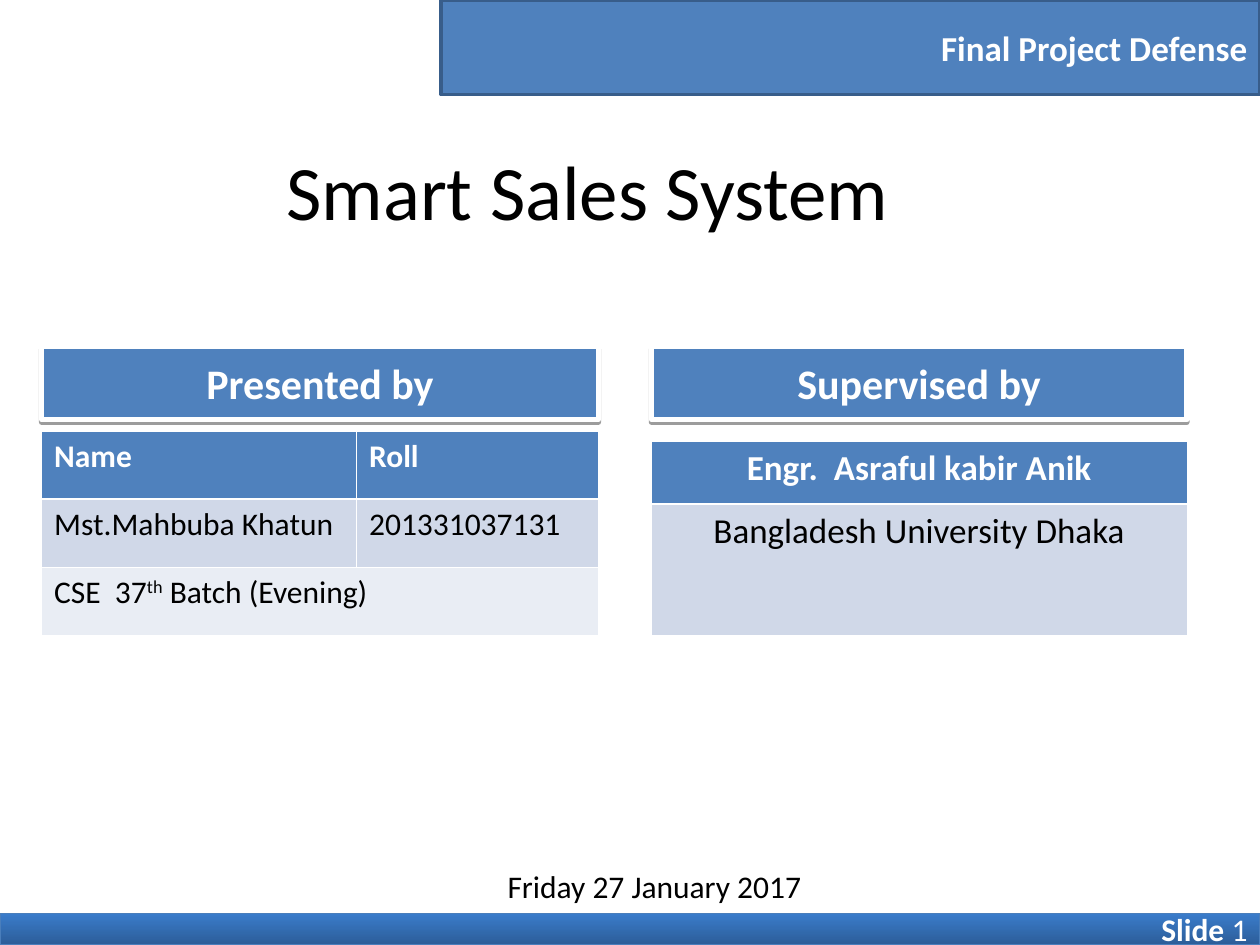
from dataclasses import dataclass

from lxml.etree import SubElement
from pptx import Presentation
from pptx.dml.color import RGBColor
from pptx.enum.shapes import MSO_SHAPE as Shape
from pptx.enum.text import MSO_ANCHOR as Anchor, MSO_AUTO_SIZE as AutoSize, PP_ALIGN as Align
from pptx.oxml.ns import qn
from pptx.util import Inches, Pt


@dataclass(frozen=True)
class Theme:
    font: str = "Calibri"
    white: str = "FFFFFF"
    black: str = "000000"
    blue: str = "4F81BD"
    banner_edge: str = "385D8A"
    footer_edge: str = "4A7EBB"
    footer_dark: str = "2C5D98"
    footer_light: str = "3A7CCB"
    band_dark: str = "D0D8E8"
    band_light: str = "E9EDF4"
    title: int = 44
    heading: int = 24
    large: int = 20
    body: int = 18


THEME = Theme()


def rgb(value):
    return RGBColor.from_string(value)


def write(frame, runs, size, color, align=Align.LEFT, bold=False):
    paragraph = frame.paragraphs[0]
    paragraph.alignment = align
    for words, changes in runs:
        run = paragraph.add_run()
        run.text = words
        style = {"name": THEME.font, "size": Pt(size), "bold": bold}
        style.update(changes)
        baseline = style.pop("baseline", None)
        for attribute, value in style.items():
            setattr(run.font, attribute, value)
        run.font.color.rgb = rgb(color)
        if baseline:
            run._r.get_or_add_rPr().set("baseline", str(baseline))


def add_shadow(shape, alpha, distance):
    effects = shape._element.spPr.find(qn("a:effectLst"))
    shadow = SubElement(effects, qn("a:outerShdw"), blurRad="0", dist=str(Pt(distance)),
                        dir="5400000", rotWithShape="0")
    tint = SubElement(shadow, qn("a:srgbClr"), val=THEME.black)
    SubElement(tint, qn("a:alpha"), val=str(alpha * 1000))


def add_bar(slide, box, runs, size, edge, edge_width, align, bold=True):
    bar = slide.shapes.add_shape(Shape.RECTANGLE, *map(Inches, box))
    bar.shadow.inherit = False
    bar.fill.solid()
    bar.fill.fore_color.rgb = rgb(THEME.blue)
    bar.line.color.rgb = rgb(edge)
    bar.line.width = Pt(edge_width)
    bar.text_frame.vertical_anchor = Anchor.MIDDLE
    bar.text_frame.word_wrap = True
    write(bar.text_frame, runs, size, THEME.white, align, bold)
    return bar


def add_heading(slide, box, words):
    heading = add_bar(slide, box, [(words, {})], THEME.heading, THEME.white, 3, Align.CENTER)
    add_shadow(heading, 38, 1.6)


def add_footer(slide, box):
    footer = add_bar(slide, box, [("Slide ", {}), ("1", {"bold": False})],
                     THEME.body, THEME.footer_edge, 0.75, Align.RIGHT)
    footer.fill.gradient()
    footer.fill.gradient_angle = 90
    for stop, color in zip(footer.fill.gradient_stops, (THEME.footer_dark, THEME.footer_light)):
        stop.color.rgb = rgb(color)
    add_shadow(footer, 35, 1.8)


def add_label(slide, box, words, size, align=Align.LEFT, **frame_format):
    label = slide.shapes.add_textbox(*map(Inches, box))
    for attribute, value in frame_format.items():
        setattr(label.text_frame, attribute, value)
    write(label.text_frame, [(words, {})], size, THEME.black, align)


def set_borders(cell, widths):
    properties = cell._tc.get_or_add_tcPr()
    for index, (side, width) in enumerate(widths.items()):
        line = SubElement(properties, qn(f"a:{side}"), w=str(Pt(width)))
        properties.remove(line)
        properties.insert(index, line)
        fill = SubElement(line, qn("a:solidFill"))
        SubElement(fill, qn("a:srgbClr"), val=THEME.white)


def add_details(slide, box, columns, heights, rows, size, align=Align.LEFT):
    table = slide.shapes.add_table(len(rows), len(columns), *map(Inches, box)).table
    for column, width in zip(table.columns, columns):
        column.width = Inches(width)
    for row, height in zip(table.rows, heights):
        row.height = Inches(height)
    fills = (THEME.blue, THEME.band_dark, THEME.band_light)
    for r, row in enumerate(rows):
        if len(row) < len(columns):
            table.cell(r, 0).merge(table.cell(r, len(columns) - 1))
        for c in range(len(columns)):
            cell = table.cell(r, c)
            cell.fill.solid()
            cell.fill.fore_color.rgb = rgb(fills[r])
            set_borders(cell, {"lnL": 0.45, "lnR": 0.45,
                               "lnT": 1.47 if r == 1 else 0.45,
                               "lnB": 1.47 if r == 0 else 0.45})
            if c < len(row):
                write(cell.text_frame, row[c], size,
                      THEME.black if r else THEME.white, align, bold=r == 0)


def add_presenter(slide, left, top, width):
    add_heading(slide, (left, top, width, 0.58), "Presented by")
    batch = [("CSE  37", {}), ("th", {"baseline": 30000}), (" Batch (Evening)", {})]
    rows = [[[("Name", {})], [("Roll", {})]],
            [[("Mst.Mahbuba Khatun", {})], [("201331037131", {})]],
            [batch]]
    add_details(slide, (left, top + 0.67, width, 1.63), (2.5, width - 2.5), (0.54,) * 3,
                rows, THEME.body)


def add_supervisor(slide, left, top, width):
    add_heading(slide, (left, top, width, 0.58), "Supervised by")
    rows = [[[("Engr.  Asraful kabir Anik", {})]], [[("Bangladesh University Dhaka", {})]]]
    add_details(slide, (left, top + 0.75, width, 1.54), (width,), (0.5, 1.04),
                rows, THEME.large, Align.CENTER)


def main():
    deck = Presentation()
    deck.slide_width, deck.slide_height = Inches(10), Inches(7.5)
    slide = deck.slides.add_slide(deck.slide_layouts[6])
    add_footer(slide, (0, 7.25, 10, 0.25))
    add_bar(slide, (3.5, 0, 6.5, 0.75), [("Final Project Defense", {})],
            THEME.large, THEME.banner_edge, 2, Align.RIGHT)
    add_label(slide, (0.5, 0.92, 8.33, 1.17), "Smart Sales System", THEME.title, Align.CENTER,
              vertical_anchor=Anchor.MIDDLE, word_wrap=True)
    add_presenter(slide, 0.33, 2.75, 4.42)
    add_supervisor(slide, 5.17, 2.75, 4.25)
    add_label(slide, (3.93, 6.83, 2.53, 0.4), "Friday 27 January 2017", THEME.body,
              word_wrap=False, auto_size=AutoSize.SHAPE_TO_FIT_TEXT)
    deck.save("out.pptx")


if __name__ == "__main__":
    main()
